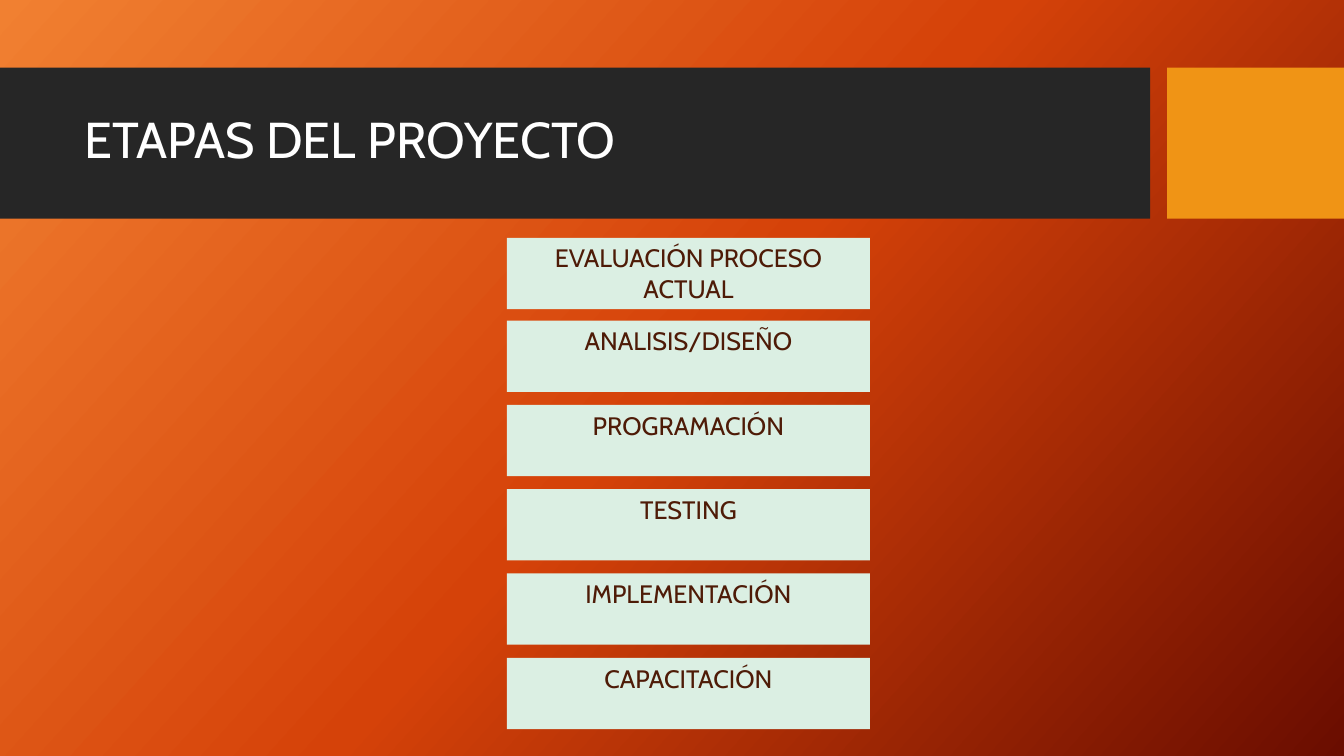
from dataclasses import dataclass

from lxml import etree
from pptx import Presentation
from pptx.dml.color import RGBColor
from pptx.enum import shapes, text
from pptx.oxml.ns import qn
from pptx.util import Pt


@dataclass(frozen=True)
class Theme:
    font: str = "Cabin"
    band: str = "262626"
    accent: str = "F09415"
    box: str = "DBEFE3"
    ink: str = "4E1B07"
    white: str = "FFFFFF"
    back: tuple = ((0, "F18031"), (50, "D54209"), (100, "6A0D00"))
    angle: int = 42
    head: int = 36
    label: int = 18


@dataclass(frozen=True)
class Box:
    left: float
    top: float
    width: float
    height: float
    fill: str


@dataclass(frozen=True)
class Stage:
    top: float
    name: str


THEME = Theme()
BANDS = (
    Box(0, 48.24, 821.5, 108, THEME.band),
    Box(833.76, 48.24, 126.24, 108, THEME.accent),
)
STAGES = (
    Stage(169.9, "EVALUACIÓN PROCESO ACTUAL"),
    Stage(229, "ANALISIS/DISEÑO"),
    Stage(289.3, "PROGRAMACIÓN"),
    Stage(349.4, "TESTING"),
    Stage(409.6, "IMPLEMENTACIÓN"),
    Stage(470, "CAPACITACIÓN"),
)


def paint_back(slide) -> None:
    """Fill the background with the theme's three-stop gradient."""
    fill = slide.background.fill
    fill.gradient()
    fill.gradient_angle = 360 - THEME.angle
    stops = slide.element.find(".//" + qn("a:gsLst"))
    for old in list(stops):
        stops.remove(old)
    for place, color in THEME.back:
        stop = etree.SubElement(stops, qn("a:gs"), pos=str(place * 1000))
        etree.SubElement(stop, qn("a:srgbClr"), val=color)


def add_box(slide, box: Box):
    shape = slide.shapes.add_shape(
        shapes.MSO_SHAPE.RECTANGLE,
        Pt(box.left), Pt(box.top), Pt(box.width), Pt(box.height))
    shape.shadow.inherit = False
    shape.fill.solid()
    shape.fill.fore_color.rgb = RGBColor.from_string(box.fill)
    shape.line.fill.background()
    return shape


def write(shape, words: str, size: int, color: str, align, anchor) -> None:
    frame = shape.text_frame
    frame.word_wrap = True
    frame.auto_size = text.MSO_AUTO_SIZE.NONE
    frame.vertical_anchor = anchor
    para = frame.paragraphs[0]
    para.alignment = align
    run = para.add_run()
    run.text = words
    run.font.name = THEME.font
    run.font.size = Pt(size)
    run.font.color.rgb = RGBColor.from_string(color)


def set_title(slide, words: str) -> None:
    """Place the title in front of the band."""
    title = slide.shapes.title
    title.left, title.top = Pt(53.28), Pt(59.04)
    title.width, title.height = Pt(756.72), Pt(84.96)
    write(title, words, THEME.head, THEME.white,
          text.PP_ALIGN.LEFT, text.MSO_ANCHOR.MIDDLE)
    title.text_frame.paragraphs[0].line_spacing = 0.9
    slide.shapes.element.append(title.element)


def add_stage(slide, stage: Stage) -> None:
    box = add_box(slide, Box(362.16, stage.top, 259.2, 50.9, THEME.box))
    write(box, stage.name, THEME.label, THEME.ink,
          text.PP_ALIGN.CENTER, text.MSO_ANCHOR.TOP)


def main() -> None:
    deck = Presentation()
    deck.slide_width, deck.slide_height = Pt(960), Pt(540)
    slide = deck.slides.add_slide(deck.slide_layouts.get_by_name("Title Only"))
    paint_back(slide)
    for band in BANDS:
        add_box(slide, band)
    set_title(slide, "ETAPAS DEL PROYECTO")
    for stage in STAGES:
        add_stage(slide, stage)
    deck.save("out.pptx")


if __name__ == "__main__":
    main()
